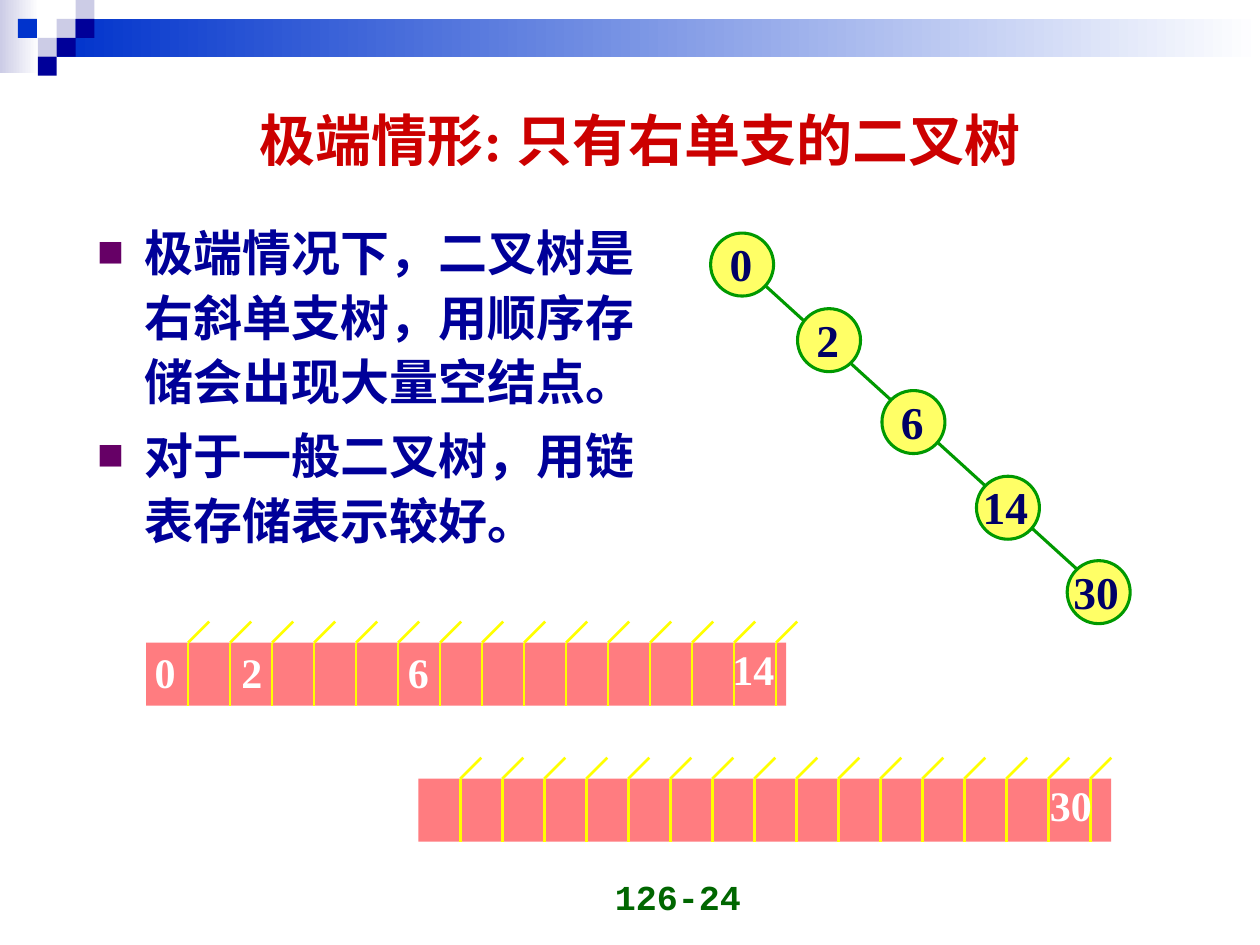
from lxml.etree import SubElement
from pptx import Presentation
from pptx.dml.color import RGBColor
from pptx.enum.shapes import MSO_CONNECTOR as Link, MSO_SHAPE as Form
from pptx.enum.text import MSO_ANCHOR as Anchor, MSO_AUTO_SIZE as Fit, PP_ALIGN as Align
from pptx.oxml.ns import qn
from pptx.util import Inches, Pt

COLORS = {
    "lavender": "CCCCE6", "blue": "0033CC", "navy": "000099", "white": "FFFFFF",
    "title": "CC0000", "bullet": "660066", "number": "006600", "digit": "000066",
    "node": "FFFF66", "edge": "009900", "array": "FF7C80", "tick": "FFFF00",
}
SERIF, SANS, MONO = "Times New Roman", "Noto Sans CJK SC", "Courier New"
TILE = 0.15
NODE = 0.5
CELL = 1 / 3
BAR_HEIGHT = 0.5


def write(para, text, size, font, color):
    span = para.add_run()
    span.text = text
    span.font.size = Pt(size)
    span.font.bold = True
    span.font.name = font
    span.font.color.rgb = RGBColor.from_string(COLORS[color])
    SubElement(span.font._element, qn("a:ea"), typeface=SANS)


def draw_line(start, end, color, width):
    line = page.shapes.add_connector(Link.STRAIGHT, *map(Inches, start + end))
    line.line.color.rgb = RGBColor.from_string(COLORS[color])
    line.line.width = Pt(width)
    SubElement(line._element.spPr, qn("a:effectLst"))


deck = Presentation()
deck.slide_width, deck.slide_height = Inches(10), Inches(7.5)
page = deck.slides.add_slide(deck.slide_layouts[1])

nodes = [("0", 5.89, 2.1), ("2", 6.58, 2.7), ("6", 7.25, 3.35), ("14", 8, 4.03), ("30", 8.72, 4.7)]
bars = [(1.16, 5.1, 5.08, 15), (3.32, 6.18, 5.5, 16)]
tiles = [(3, 1, "lavender"), (4, 0, "lavender"), (4, 1, "navy"), (2, 2, "lavender"),
         (0.95, 1, "blue"), (3, 2, "navy"), (2, 3, "navy")]

blocks = [(Form.RECTANGLE, 0, 0, 0.31, 0.58, ["lavender", "white"]),
          (Form.RECTANGLE, 3 * TILE, TILE, 10 - 3 * TILE, 2 * TILE, ["blue", "white"])]
blocks += [(Form.RECTANGLE, col * TILE, row * TILE, TILE, TILE, [color]) for col, row, color in tiles]
blocks += [(Form.RECTANGLE, left, top, width, BAR_HEIGHT, ["array"]) for left, top, width, ticks in bars]
blocks += [(Form.OVAL, x - NODE / 2, y - NODE / 2, NODE, NODE, ["node"]) for text, x, y in nodes]

draw_line((6, 2.2), (8.66, 4.62), "edge", 1.75)

for form, left, top, width, height, fills in blocks:
    block = page.shapes.add_shape(form, *map(Inches, (left, top, width, height)))
    block.shadow.inherit = False
    if len(fills) == 2:
        block.fill.gradient()
        block.fill.gradient_angle = 0
        for position, (stop, color) in enumerate(zip(block.fill.gradient_stops, fills)):
            stop.position = position
            stop.color.rgb = RGBColor.from_string(COLORS[color])
    else:
        block.fill.solid()
        block.fill.fore_color.rgb = RGBColor.from_string(COLORS[fills[0]])
    if form == Form.OVAL:
        block.line.color.rgb = RGBColor.from_string(COLORS["edge"])
        block.line.width = Pt(1.75)
    else:
        block.line.fill.background()

for left, top, width, ticks in bars:
    for tick in range(1, ticks + 1):
        x = left + tick * CELL
        draw_line((x, top), (x, top + BAR_HEIGHT), "tick", 1.5)
        draw_line((x, top), (x + CELL / 2, top - CELL / 2), "tick", 1.5)

labels = [(text, x - 0.01 * len(text), y - 0.01, 26, "digit") for text, x, y in nodes]
labels += [(text, x, y, 24, "white") for text, x, y in
           [("0", 1.31, 5.33), ("2", 2, 5.33), ("6", 3.32, 5.33), ("14", 5.98, 5.31), ("30", 8.5, 6.39)]]
for text, x, y, size, color in labels:
    width, height = 0.2 + 0.18 * len(text), size / 48
    box = page.shapes.add_textbox(*map(Inches, (x - width / 2, y - height / 2, width, height)))
    box.text_frame.word_wrap = False
    box.text_frame.vertical_anchor = Anchor.MIDDLE
    para = box.text_frame.paragraphs[0]
    para.alignment = Align.CENTER
    write(para, text, size, SERIF, color)

number = page.shapes.add_textbox(*map(Inches, (3.65, 6.83, 2.33, 0.5)))
number.text_frame.word_wrap = True
number.text_frame.vertical_anchor = Anchor.BOTTOM
para = number.text_frame.paragraphs[0]
para.alignment = Align.RIGHT
write(para, "126-24", 20, MONO, "number")

title, body = page.shapes.title, page.placeholders[1]
for holder, place, anchor in [(title, (0.83, 0.64, 8.5, 0.92), Anchor.MIDDLE),
                              (body, (0.67, 1.67, 4.77, 3.19), Anchor.TOP)]:
    holder.left, holder.top, holder.width, holder.height = map(Inches, place)
    holder.text_frame.word_wrap = True
    holder.text_frame.auto_size = Fit.NONE
    holder.text_frame.vertical_anchor = anchor

para = title.text_frame.paragraphs[0]
para.alignment = Align.CENTER
write(para, "极端情形: 只有右单支的二叉树", 32, SERIF, "title")

points = ["极端情况下，二叉树是右斜单支树，用顺序存储会出现大量空结点。",
          "对于一般二叉树，用链表存储表示较好。"]
for index, text in enumerate(points):
    para = body.text_frame.add_paragraph() if index else body.text_frame.paragraphs[0]
    props = para._p.get_or_add_pPr()
    props.set("marL", str(Inches(0.38)))
    props.set("indent", str(-Inches(0.38)))
    SubElement(SubElement(props, qn("a:buClr")), qn("a:srgbClr"), val=COLORS["bullet"])
    SubElement(props, qn("a:buSzPct"), val="55000")
    SubElement(props, qn("a:buFont"), typeface=SANS)
    SubElement(props, qn("a:buChar"), char="■")
    para.line_spacing = 1.1
    para.space_before = Pt(5.2 if index else 0)
    write(para, text, 28, SANS, "navy")

deck.save("out.pptx")
